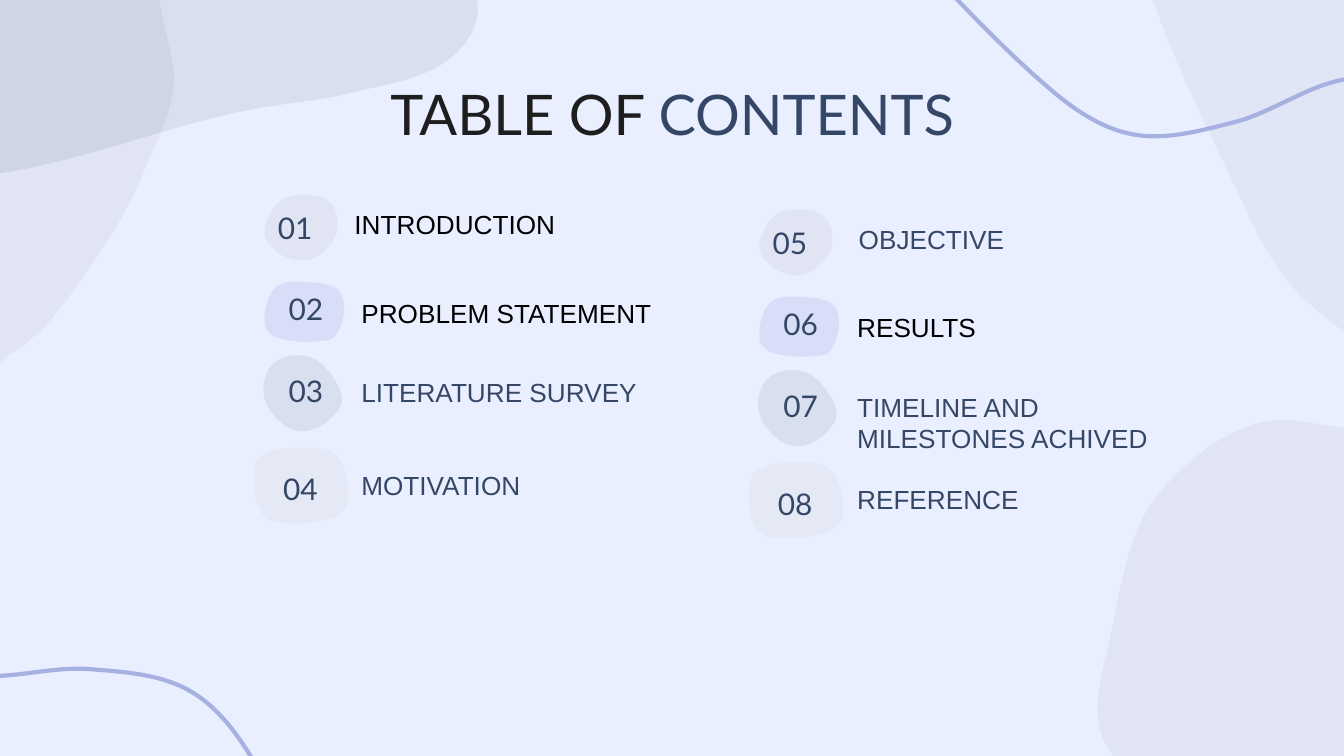
import math

from lxml import etree
from pptx import Presentation
from pptx import util as u
from pptx.dml.color import RGBColor
from pptx.enum import text
from pptx.oxml.ns import qn

BACKGROUND = RGBColor(0xEA, 0xEF, 0xFF)
LAVENDER = RGBColor(0xD6, 0xD9, 0xE7)
SLATE = RGBColor(0x62, 0x75, 0x88)
SAND = RGBColor(0xAC, 0x90, 0x78)
PERIWINKLE = RGBColor(0xA6, 0xB1, 0xE2)
NAVY = RGBColor(0x34, 0x47, 0x66)
INK = RGBColor(0x1E, 0x1E, 0x1E)
BLACK = RGBColor(0, 0, 0)

GRID = u.Cm(2.54)  # one unit of the outline coordinates

# Colour, opacity in percent, and the points a smooth outline passes through.
BACKDROPS = [
    (LAVENDER, 46, [(8.24, 5.56), (8.27, 4.7), (8.64, 3.65), (9.64, 3.13),
                    (13.58, 4.37), (15.8, 7.2), (13.41, 7.26), (10.5, 8.23)]),
    (LAVENDER, 46, [(-3.74, -1.32), (0.39, -1.44), (1.28, 0.44), (1.07, 1.28), (0.66, 2),
                    (0.17, 2.57), (-1.14, 3.26), (-4.37, 1.51), (-6.65, 0.89)]),
    (SLATE, 13, [(2.43, -0.8), (3.07, -0.74), (3.55, 0.02), (3.33, 0.45), (2.62, 0.69),
                 (1.9, 0.81), (-0.72, 1.31), (-1.31, 0.43), (-0.32, -0.2)]),
    (SLATE, 7, [(11, -3.78), (13.79, -3.8), (15.55, 0), (14.61, 1.4), (10.5, 2.62),
                (9.73, 2.25), (9.25, 1.52), (8.42, -0.59), (8.51, -2.46)]),
]
WAVES = [
    [(2.7, 7.34), (1.89, 5.67), (1.41, 5.14), (0.67, 4.98),
     (-0.31, 5), (-2.47, 4.08), (-4.25, 3.07), (-5.36, 4.27)],
    [(6.49, -0.66), (7.81, 0.66), (8.43, 1), (9.18, 0.91),
     (10.1, 0.58), (12.44, 0.75), (14.45, 1.13), (15.11, -0.37)],
]
BADGES = [
    (LAVENDER, 46, [(2.22, 1.45), (2.05, 1.53), (1.98, 1.78), (2.25, 1.94),
                    (2.49, 1.77), (2.46, 1.51)]),
    (PERIWINKLE, 26, [(2.28, 2.1), (2.05, 2.14), (1.97, 2.41), (2.08, 2.52),
                      (2.45, 2.53), (2.53, 2.44), (2.56, 2.28), (2.51, 2.15)]),
    (SLATE, 13, [(2.28, 2.65), (2.48, 2.81), (2.53, 3.03), (2.24, 3.21),
                 (1.98, 3), (2.02, 2.72)]),
    (SAND, 7, [(2.22, 3.33), (2.5, 3.39), (2.59, 3.73), (2.46, 3.86),
               (2.02, 3.88), (1.92, 3.76), (1.89, 3.56), (1.94, 3.4)]),
]

# Number left and top, label top and width, in centimetres, for each row.
ROWS = [(4.45, 3.68, 3.81, 6.15), (4.65, 5.21, 5.49, 6.15),
        (4.65, 6.76, 6.99, 6.4), (4.55, 8.61, 8.74, 4.39)]
# Column shift right and down, left of the first label and of the others.
COLUMNS = [
    (0, 0, 6.45, 6.58, [("INTRODUCTION", BLACK), ("PROBLEM STATEMENT", BLACK),
                        ("LITERATURE SURVEY", NAVY), ("MOTIVATION", NAVY)]),
    (9.35, 0.28, 15.98, 15.95, [("OBJECTIVE", NAVY), ("RESULTS", BLACK),
                                ("TIMELINE AND MILESTONES ACHIVED", NAVY),
                                ("REFERENCE", NAVY)]),
]

presentation = Presentation()
presentation.slide_width, presentation.slide_height = u.Cm(25.4), u.Cm(14.29)
slide = presentation.slides.add_slide(presentation.slide_layouts[6])
slide.background.fill.solid()
slide.background.fill.fore_color.rgb = BACKGROUND


def add_curve(points, color, opacity=None):
    """Draw a smooth curve through points: filled with an opacity, else an open line."""
    closed = opacity is not None
    points = [(x * GRID, y * GRID) for x, y in points]
    if closed:
        around = [points[-1], *points, *points[:2]]
    else:
        around = [points[0], *points, points[-1]]
    bezier = []
    for before, start, end, after in zip(around, around[1:], around[2:], around[3:]):
        reach = math.dist(start, end) / 3
        lead, trail = reach / math.dist(before, end), reach / math.dist(start, after)
        bezier += [
            [s + (e - b) * lead for b, s, e in zip(before, start, end)],
            [e - (a - s) * trail for s, e, a in zip(start, end, after)],
            end,
        ]
    builder = slide.shapes.build_freeform(*points[0])
    builder.add_line_segments(bezier, close=closed)
    shape = builder.convert_to_shape()
    shape.shadow.inherit = False
    segments = list(shape.element.iter(qn("a:lnTo")))
    for first, second, third in zip(*[iter(segments)] * 3):
        first.tag = qn("a:cubicBezTo")
        for segment in (second, third):
            first.append(segment[0])
            segment.getparent().remove(segment)
    if closed:
        shape.line.fill.background()
        shape.fill.solid()
        shape.fill.fore_color.rgb = color
        srgb = shape.element.spPr.find(qn("a:solidFill"))[0]
        etree.SubElement(srgb, qn("a:alpha"), val=str(opacity * 1000))
    else:
        shape.fill.background()
        shape.line.color.rgb = color
        shape.line.width = u.Pt(2.25)
    return shape


def add_text(runs, left, top, width, height, font, size, centered=True):
    box = slide.shapes.add_textbox(*map(u.Cm, (left, top, width, height)))
    frame = box.text_frame
    frame.word_wrap = True
    paragraph = frame.paragraphs[0]
    if centered:
        frame.vertical_anchor = text.MSO_ANCHOR.MIDDLE
        frame.margin_top = frame.margin_bottom = u.Cm(0.25)
        paragraph.alignment = text.PP_ALIGN.CENTER
    paragraph.font.name, paragraph.font.size = font, u.Pt(size)
    for words, color in runs:
        run = paragraph.add_run()
        run.text = words
        run.font.color.rgb = color


for color, opacity, points in BACKDROPS:
    add_curve(points, color, opacity)
for points in WAVES:
    add_curve(points, PERIWINKLE)

add_text([("TABLE OF ", INK), ("CONTENTS", NAVY)], 2, 1.22, 21.41, 1.83, "Lato", 30)

number = 0
for right, down, first_left, other_left, labels in COLUMNS:
    for row, badge, label in zip(ROWS, BADGES, labels):
        number += 1
        number_left, number_top, label_top, label_width = row
        color, opacity, points = badge
        shape = add_curve(points, color, opacity)
        shape.left += u.Cm(right)
        shape.top += u.Cm(down)
        add_text([(f"{number:02}", NAVY)], number_left + right, number_top + down,
                 2.26, 1.24, "Lato", 16)
        label_left = first_left if row is ROWS[0] else other_left
        label_height = 1.45 if number == 7 else 0.86
        add_text([label], label_left, label_top + down, label_width, label_height,
                 "Arial", 14, centered=False)

presentation.save("out.pptx")
